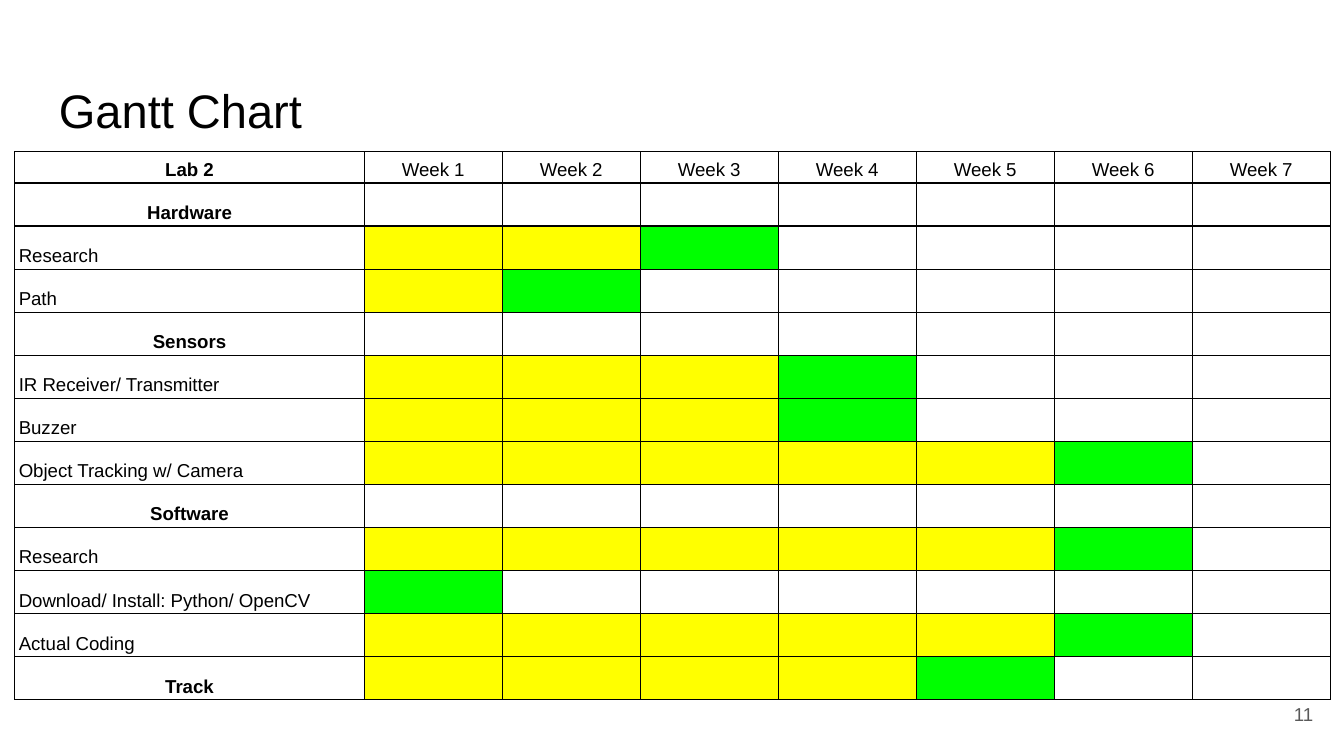
from lxml import etree
from pptx import Presentation
from pptx.dml.color import RGBColor
from pptx.enum.text import MSO_ANCHOR, PP_ALIGN
from pptx.oxml.ns import qn
from pptx.util import Inches, Pt

LEFT, CENTER, RIGHT = PP_ALIGN.LEFT, PP_ALIGN.CENTER, PP_ALIGN.RIGHT
TOP, MIDDLE, BOTTOM = MSO_ANCHOR.TOP, MSO_ANCHOR.MIDDLE, MSO_ANCHOR.BOTTOM
BLACK = RGBColor(0x00, 0x00, 0x00)
GRAY = RGBColor(0x59, 0x59, 0x59)
WHITE = RGBColor(0xFF, 0xFF, 0xFF)
YELLOW = RGBColor(0xFF, 0xFF, 0x00)
GREEN = RGBColor(0x00, 0xFF, 0x00)

# Task, bold section label, week in which it finishes (0 for none)
TASKS = [
    ("Hardware", True, 0),
    ("Research", False, 3),
    ("Path", False, 2),
    ("Sensors", True, 0),
    ("IR Receiver/ Transmitter", False, 4),
    ("Buzzer", False, 4),
    ("Object Tracking w/ Camera", False, 6),
    ("Software", True, 0),
    ("Research", False, 6),
    ("Download/ Install: Python/ OpenCV", False, 1),
    ("Actual Coding", False, 6),
    ("Track", True, 5),
]

# Table grid: the weeks and tasks share what the label column and header leave
WEEKS = 7
TABLE_WIDTH, TABLE_HEIGHT = 9.79, 4.08
LABEL_WIDTH, HEADER_HEIGHT = 2.6, 0.23
WEEK_WIDTH = (TABLE_WIDTH - LABEL_WIDTH) / WEEKS
TASK_HEIGHT = (TABLE_HEIGHT - HEADER_HEIGHT) / len(TASKS)


def write(frame, text, size, color=BLACK, bold=False, align=LEFT, spacing=1.0):
    paragraph = frame.paragraphs[0]
    paragraph.alignment = align
    paragraph.line_spacing = spacing
    run = paragraph.add_run()
    run.text = text
    run.font.color.rgb = color
    for name, value in {"name": "Arial", "size": Pt(size), "bold": bold}.items():
        setattr(run.font, name, value)


def format_cell(cell, color, margin):
    cell.vertical_anchor = BOTTOM
    cell.margin_left = cell.margin_right = Inches(0.03)
    cell.margin_top = cell.margin_bottom = Inches(margin)
    # Borders come before the fill in the cell properties
    properties = cell._tc.get_or_add_tcPr()
    for side in ("a:lnL", "a:lnR", "a:lnT", "a:lnB"):
        line = etree.SubElement(properties, qn(side), w=str(Pt(0.75)))
        fill = etree.SubElement(line, qn("a:solidFill"))
        etree.SubElement(fill, qn("a:srgbClr"), val=str(BLACK))
    cell.fill.solid()
    cell.fill.fore_color.rgb = color


# Widescreen slide
presentation = Presentation()
presentation.slide_width = Inches(10)
presentation.slide_height = presentation.slide_width * 9 // 16
slide = presentation.slides.add_slide(presentation.slide_layouts[6])

# Title and slide number
for text, box, anchor, style in [
    ("Gantt Chart", (0.34, 0.51, 9.32, 0.63), TOP, {"size": 25.2}),
    ("11", (9.27, 5.1, 0.6, 0.43), MIDDLE,
     {"size": 10, "color": GRAY, "align": RIGHT}),
]:
    frame = slide.shapes.add_textbox(*map(Inches, box)).text_frame
    frame.word_wrap = True
    frame.vertical_anchor = anchor
    for side in ("left", "right", "top", "bottom"):
        setattr(frame, f"margin_{side}", Inches(0.1))
    write(frame, text, **style)

# Table
widths = [LABEL_WIDTH] + [WEEK_WIDTH] * WEEKS
heights = [HEADER_HEIGHT] + [TASK_HEIGHT] * len(TASKS)
table = slide.shapes.add_table(
    len(heights), len(widths), Inches(0.11), Inches(1.13),
    Inches(TABLE_WIDTH), Inches(TABLE_HEIGHT)).table
for column, width in zip(table.columns, widths):
    column.width = Inches(width)
for row, height in zip(table.rows, heights):
    row.height = Inches(height)

# Header row
for index in range(WEEKS + 1):
    cell = table.cell(0, index)
    format_cell(cell, WHITE, 0.02)
    write(cell.text_frame, f"Week {index}" if index else "Lab 2", 10,
          bold=index == 0, align=CENTER, spacing=1.15)

# Task rows: yellow while under way, green in the finishing week
for row, (task, is_section, finish) in enumerate(TASKS, start=1):
    label = table.cell(row, 0)
    format_cell(label, WHITE, 0.02)
    write(label.text_frame, task, 10, bold=is_section,
          align=CENTER if is_section else LEFT, spacing=1.15)
    for week in range(1, WEEKS + 1):
        color = YELLOW if week < finish else GREEN if week == finish else WHITE
        format_cell(table.cell(row, week), color, 0)

presentation.save("out.pptx")
